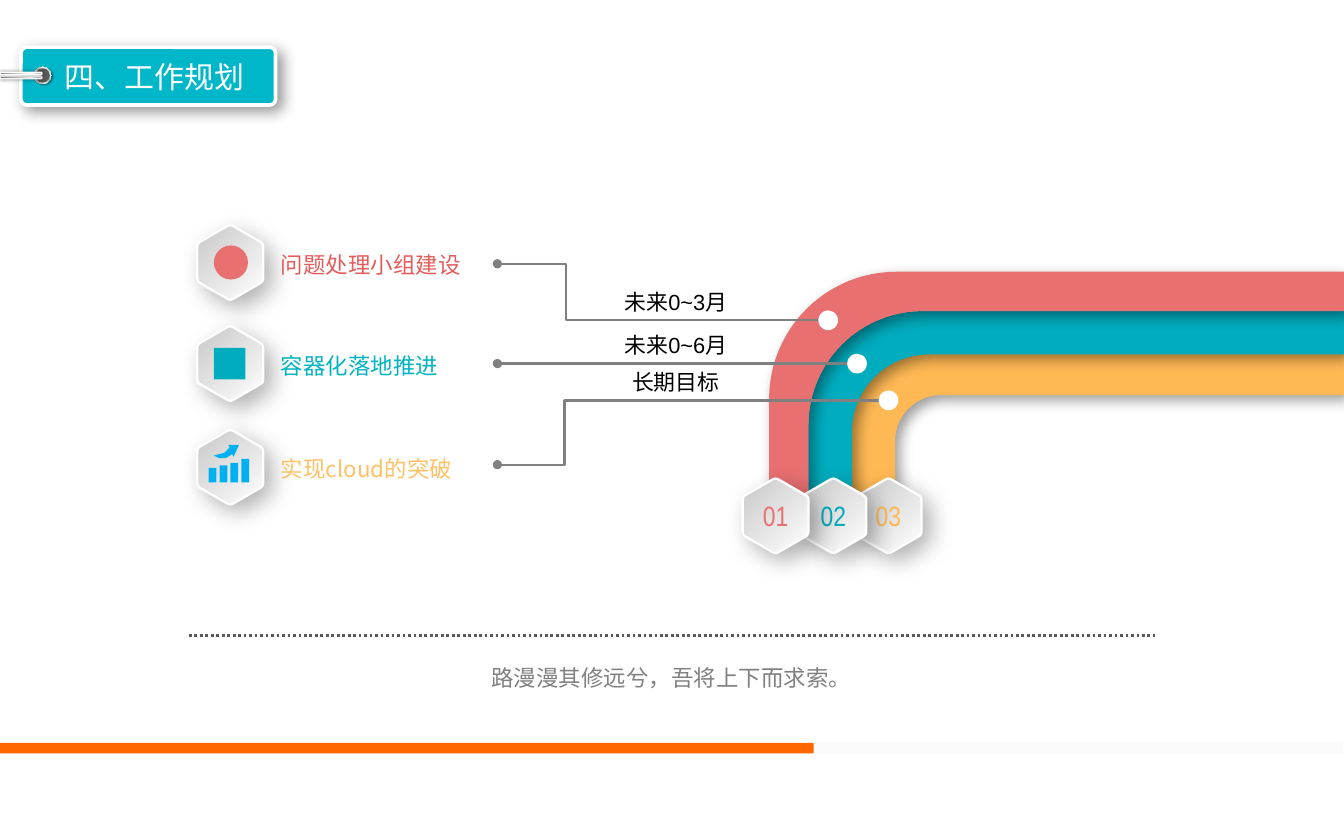
from math import cos, pi, sin

from pptx import Presentation
from pptx.dml.color import RGBColor
from pptx.enum.dml import MSO_LINE
from pptx.enum.shapes import MSO_CONNECTOR, MSO_SHAPE
from pptx.enum.text import MSO_ANCHOR, MSO_AUTO_SIZE, PP_ALIGN
from pptx.oxml import parse_xml
from pptx.oxml.ns import nsdecls, qn
from pptx.util import Inches, Pt

WHITE = RGBColor(0xFF, 0xFF, 0xFF)
BLACK = RGBColor(0x00, 0x00, 0x00)
GREY = RGBColor(0x80, 0x80, 0x80)
DARK = RGBColor(0x59, 0x59, 0x59)
SILVER = RGBColor(0xA6, 0xA6, 0xA6)
LIGHT = RGBColor(0xF2, 0xF2, 0xF2)
PALE = RGBColor(0xD9, 0xD9, 0xD9)
BADGE = RGBColor(0xC9, 0xC9, 0xC9)
TRACK = RGBColor(0xFB, 0xFB, 0xFB)
ORANGE = RGBColor(0xFF, 0x66, 0x00)
CYAN = RGBColor(0x00, 0xB7, 0xCA)
RED = RGBColor(0xE8, 0x70, 0x71)
TEAL = RGBColor(0x01, 0xAC, 0xBE)
YELLOW = RGBColor(0xFF, 0xB9, 0x54)
BLUE = RGBColor(0x00, 0xB0, 0xF0)
RED_TEXT = RGBColor(0xE4, 0x5C, 0x5B)
TEAL_TEXT = RGBColor(0x02, 0xB3, 0xC1)
YELLOW_TEXT = RGBColor(0xFF, 0xC1, 0x65)

CJK = "Noto Sans CJK SC"
SOFT = (40, 8, 4, 45)
DEEP = (30, 13, 6, 45)
BADGE_FADE = [(2, BADGE), (100, WHITE)]
RING_FADE = [(0, WHITE), (17, SILVER), (35, LIGHT), (55, SILVER), (75, LIGHT), (100, SILVER)]
ROD_FADE = [(0, GREY), (23, SILVER), (52, PALE), (74, WHITE), (100, SILVER)]


def style(shape, fill=None, line=None, weight=1.25, shadow=None, fade=None, angle=0):
    shape.shadow.inherit = False
    properties = shape._element.spPr
    if fill is None:
        shape.fill.background()
    else:
        shape.fill.solid()
        shape.fill.fore_color.rgb = fill
    if fade:
        stops = "".join(
            f'<a:gs pos="{at * 1000}"><a:srgbClr val="{color}"/></a:gs>' for at, color in fade)
        gradient = parse_xml(
            f'<a:gradFill {nsdecls("a")} rotWithShape="1"><a:gsLst>{stops}</a:gsLst>'
            f'<a:lin ang="{angle * 60000}" scaled="0"/></a:gradFill>')
        properties.replace(properties.find(qn("a:noFill")), gradient)
    if line is None:
        shape.line.fill.background()
    else:
        shape.line.color.rgb = line
        shape.line.width = Pt(weight)
    if shadow:
        alpha, blur, distance, direction = shadow
        properties.find(qn("a:effectLst")).append(parse_xml(
            f'<a:outerShdw {nsdecls("a")} blurRad="{Pt(blur)}" dist="{Pt(distance)}" '
            f'dir="{direction * 60000}" algn="ctr" rotWithShape="0"><a:srgbClr val="000000">'
            f'<a:alpha val="{alpha * 1000}"/></a:srgbClr></a:outerShdw>'))
    return shape


def preset(slide, kind, left, top, width, height, **look):
    shape = slide.shapes.add_shape(
        kind, Inches(left), Inches(top), Inches(width), Inches(height))
    return style(shape, **look)


def outline(slide, points, close=True, **look):
    corners = [(Inches(x), Inches(y)) for x, y in points]
    builder = slide.shapes.build_freeform(*corners[0], scale=1.0)
    builder.add_line_segments(corners[1:], close=close)
    return style(builder.convert_to_shape(), **look)


def rule(slide, left, right, y, color, weight):
    line = slide.shapes.add_connector(
        MSO_CONNECTOR.STRAIGHT, Inches(left), Inches(y), Inches(right), Inches(y))
    line.line.color.rgb = color
    line.line.width = Pt(weight)
    line._element.spPr.append(parse_xml(f'<a:effectLst {nsdecls("a")}/>'))
    return line


def write(frame, text, size=12.3, color=BLACK, font=CJK, align=PP_ALIGN.CENTER,
          anchor=MSO_ANCHOR.TOP, margin=None, spacing=None, wrap=True):
    frame.word_wrap = wrap
    frame.auto_size = MSO_AUTO_SIZE.NONE
    frame.vertical_anchor = anchor
    if margin is not None:
        frame.margin_left = frame.margin_right = Inches(margin)
        frame.margin_top = frame.margin_bottom = Inches(margin)
    paragraph = frame.paragraphs[0]
    paragraph.alignment = align
    paragraph.line_spacing = spacing
    run = paragraph.add_run()
    run.text = text
    run.font.size = Pt(size)
    run.font.name = font
    run.font.color.rgb = color
    run._r.get_or_add_rPr().find(qn("a:latin")).addnext(
        parse_xml(f'<a:ea {nsdecls("a")} typeface="{font}"/>'))


def textbox(slide, left, top, width, height, text, **look):
    box = slide.shapes.add_textbox(Inches(left), Inches(top), Inches(width), Inches(height))
    write(box.text_frame, text, **look)


def hexagon(slide, x, y, radius=0.29, cut=0.09):
    tips = [(x + radius * sin(i * pi / 3), y - radius * cos(i * pi / 3)) for i in range(6)]
    points = []
    for i, tip in enumerate(tips):
        before, after = tips[i - 1], tips[(i + 1) % 6]
        for t in (0, 0.25, 0.5, 0.75, 1):
            points.append(tuple(
                c + cut * ((1 - t) ** 2 * (b - c) + t ** 2 * (a - c))
                for b, c, a in zip(before, tip, after)))
    return outline(slide, points, fade=BADGE_FADE, angle=45, line=WHITE, shadow=DEEP)


def arc(x, y, radius):
    return [(x - radius * cos(i * pi / 48), y - radius * sin(i * pi / 48)) for i in range(25)]


def ribbon(slide, left, top, right, base, across, down, outer, inner, color):
    outside = arc(left + outer, top + outer, outer)
    inside = arc(left + across + inner, top + down + inner, inner)
    points = [(left, base), *outside, (right, top), (right, top + down),
              *reversed(inside), (left + across, base)]
    outline(slide, points, fill=color, shadow=SOFT)


def number_badge(slide, x, y, number, color):
    badge = hexagon(slide, x, y)
    write(badge.text_frame, number, size=15.3, color=color, font="Arial Narrow",
          anchor=MSO_ANCHOR.MIDDLE, margin=0, wrap=False)


def header(slide, left, top, width, height):
    tag = preset(slide, MSO_SHAPE.ROUNDED_RECTANGLE, left, top, width, height,
                 fill=CYAN, line=WHITE, weight=2, shadow=SOFT)
    tag.adjustments[0] = 0.1
    preset(slide, MSO_SHAPE.OVAL, left + 0.1, top + 0.15, 0.13, 0.13,
           fade=RING_FADE, angle=315, shadow=(40, 1, 1, 45))
    preset(slide, MSO_SHAPE.OVAL, left + 0.11, top + 0.16, 0.11, 0.11, fill=DARK)
    for offset in (0.22, 0.19):
        rod = preset(slide, MSO_SHAPE.ROUNDED_RECTANGLE, 0, top + offset, 0.32, 0.02,
                     fade=ROD_FADE, line=WHITE, weight=0.75, shadow=(40, 2, 0, 0))
        rod.adjustments[0] = 0.5
    title = slide.shapes.title
    title.left, title.top = Inches(left + 0.11), Inches(top + 0.03)
    title.width, title.height = Inches(width - 0.12), Inches(0.38)
    write(title.text_frame, "四、工作规划", size=16.4, color=WHITE, anchor=MSO_ANCHOR.MIDDLE)
    slide.shapes._spTree.append(title._element)


def road(slide, left, top, right, base):
    ribbon(slide, left + 0.63, top + 0.62, right, base, 0.33, 0.32, 0.59, 0.35, YELLOW)
    number_badge(slide, left + 0.91, base + 0.08, "03", YELLOW)
    ribbon(slide, left + 0.3, top + 0.3, right, base, 0.33, 0.33, 0.87, 0.59, TEAL)
    ribbon(slide, left, top, right, base, 0.3, 0.3, 0.97, 0.87, RED)
    number_badge(slide, left + 0.49, base + 0.08, "02", TEAL)
    number_badge(slide, left + 0.05, base + 0.08, "01", RED)


def growth_icon(slide, left, top):
    for i, height in enumerate((0.11, 0.13, 0.15, 0.18)):
        preset(slide, MSO_SHAPE.RECTANGLE, left + i * 0.083, top + 0.285 - height,
               0.06, height, fill=BLUE)
    arrow = [(0.16, 0.02), (0.12, 0.06), (0.04, 0.08), (0.08, 0.1), (0.13, 0.1),
             (0.18, 0.07), (0.19, 0.09), (0.23, 0), (0.15, 0)]
    outline(slide, [(left + x, top + y) for x, y in arrow], fill=BLUE)


def goal(slide, left, y, text, color):
    hexagon(slide, left + 0.285, y)
    textbox(slide, left + 0.57, y - 0.14, 1.85, 0.31, text, color=color, align=PP_ALIGN.LEFT)


def milestone(slide, left, start, bend, end, finish, period):
    if start == finish:
        rule(slide, left, end, start, GREY, 1.25)
    else:
        outline(slide, [(left, start), (bend, start), (bend, finish), (end, finish)],
                close=False, line=GREY)
    for x, y, size, color in ((left, start, 0.07, GREY), (end + 0.03, finish, 0.15, WHITE)):
        preset(slide, MSO_SHAPE.OVAL, x - size / 2, y - size / 2, size, size, fill=color)
    textbox(slide, 4.47, finish - 0.29, 1.36, 0.3, period, size=12, font="Arial")


def goals(slide, left, top):
    goal(slide, left, top, "问题处理小组建设", RED_TEXT)
    preset(slide, MSO_SHAPE.OVAL, left + 0.16, top - 0.13, 0.26, 0.26, fill=RED)
    goal(slide, left, top + 0.77, "容器化落地推进", TEAL_TEXT)
    preset(slide, MSO_SHAPE.RECTANGLE, left + 0.16, top + 0.65, 0.24, 0.24, fill=TEAL)
    goal(slide, left, top + 1.56, "实现cloud的突破", YELLOW_TEXT)
    growth_icon(slide, left + 0.12, top + 1.39)


def milestones(slide, left):
    milestone(slide, left, 2.01, 4.31, 6.28, 2.44, "未来0~3月")
    milestone(slide, left, 2.77, left, 6.5, 2.77, "未来0~6月")
    milestone(slide, left, 3.54, 4.3, 6.74, 3.05, "长期目标")


def footer(slide, left, top, right):
    dotted = rule(slide, left, right, top, DARK, 1.5)
    dotted.line.dash_style = MSO_LINE.ROUND_DOT
    textbox(slide, left + 0.13, top + 0.07, right - left - 0.27, 0.41,
            "路漫漫其修远兮，吾将上下而求索。", color=GREY, font="Noto Sans CJK TC", spacing=1.5)
    preset(slide, MSO_SHAPE.RECTANGLE, 0, top + 0.82, 6.2, 0.08, fill=ORANGE)
    preset(slide, MSO_SHAPE.RECTANGLE, 6.22, top + 0.82, 4.01, 0.08, fill=TRACK)


def main():
    deck = Presentation()
    deck.slide_width, deck.slide_height = Inches(10.24), Inches(6.3)
    slide = deck.slides.add_slide(deck.slide_layouts[5])
    header(slide, 0.16, 0.36, 1.94, 0.44)
    road(slide, 5.86, 2.07, 10.24, 3.85)
    goals(slide, 1.47, 2)
    milestones(slide, 3.79)
    footer(slide, 1.44, 4.84, 8.8)
    deck.save("out.pptx")


if __name__ == "__main__":
    main()
